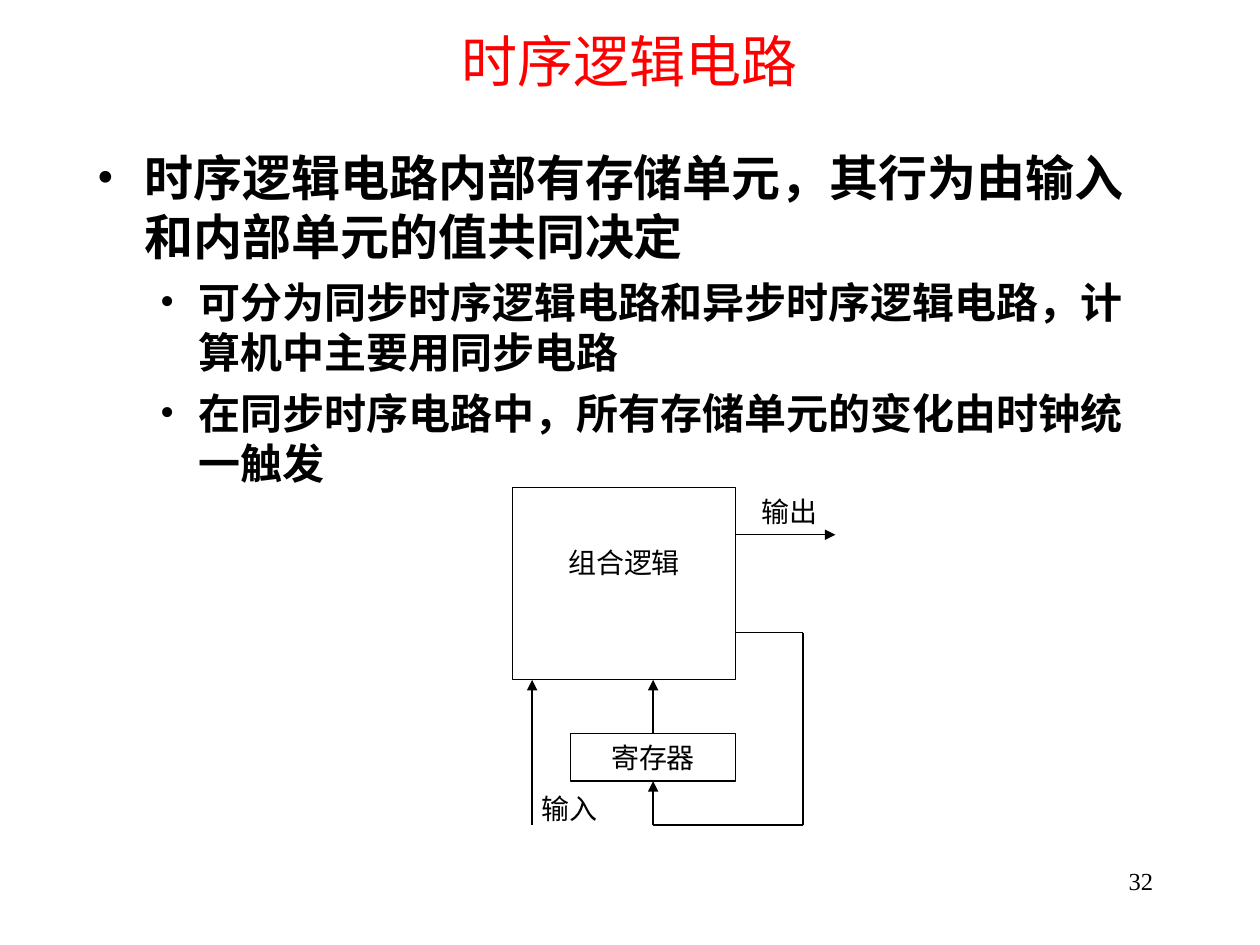
from lxml import etree
from pptx import Presentation, util as u
from pptx.dml.color import RGBColor
from pptx.enum import shapes, text
from pptx.oxml.ns import qn

BLACK = RGBColor(0, 0, 0)
RED = RGBColor(255, 0, 0)
SERIF = "Times New Roman"
WIDTH, HEIGHT = u.Inches(10), u.Inches(7.5)

BULLETS = [
    (0, "时序逻辑电路内部有存储单元，其行为由输入和内部单元的值共同决定"),
    (1, "可分为同步时序逻辑电路和异步时序逻辑电路，计算机中主要用同步电路"),
    (1, "在同步时序电路中，所有存储单元的变化由时钟统一触发"),
]
# level: size, text indent and bullet hang in inches, space before
LEVELS = {0: (28, 0.38, 0.38, 7), 1: (24, 0.81, 0.31, 6)}


def share_box(left, top, width, height):
    """Turn shares of the slide into a box."""
    return [int(WIDTH * left), int(HEIGHT * top), int(WIDTH * width), int(HEIGHT * height)]


def style(paragraph, size, color=BLACK, name=SERIF, bold=False):
    for run in paragraph.runs:
        font = run.font
        font.size, font.name, font.bold = u.Pt(size), name, bold
        font.color.rgb = color


def add_text(slide, box, words, size, align=text.PP_ALIGN.LEFT, margin=0.0):
    frame = slide.shapes.add_textbox(*box).text_frame
    frame.word_wrap = True
    frame.margin_left = frame.margin_right = u.Inches(margin)
    frame.margin_top = frame.margin_bottom = u.Inches(margin / 2)
    frame.text = words
    frame.paragraphs[0].alignment = align
    style(frame.paragraphs[0], size)


def add_title(slide, box, words):
    title = slide.shapes.title
    title.left, title.top, title.width, title.height = box
    frame = title.text_frame
    frame.text = words
    frame.vertical_anchor = text.MSO_ANCHOR.MIDDLE
    frame.paragraphs[0].alignment = text.PP_ALIGN.CENTER
    style(frame.paragraphs[0], 32, RED, "Arial")


def add_bullets(slide, box, items):
    frame = slide.shapes.add_textbox(*box).text_frame
    frame.word_wrap = True
    frame.text = "\n".join(words for _, words in items)
    for index, (paragraph, (level, _)) in enumerate(zip(frame.paragraphs, items)):
        size, indent, hang, before = LEVELS[level]
        paragraph.level = level
        paragraph.space_before = u.Pt(before if index else 0)
        properties = paragraph._p.get_or_add_pPr()
        properties.set("marL", str(u.Inches(indent)))
        properties.set("indent", str(-u.Inches(hang)))
        etree.SubElement(properties, qn("a:buFont"), typeface=SERIF)
        etree.SubElement(properties, qn("a:buChar"), char="•")
        style(paragraph, size, bold=True)


def add_block(slide, box, words, anchor, margin_top=0.05):
    block = slide.shapes.add_shape(shapes.MSO_SHAPE.RECTANGLE, *box)
    block.shadow.inherit = False
    block.fill.background()
    block.line.color.rgb = BLACK
    block.line.width = u.Pt(0.75)
    frame = block.text_frame
    frame.text = words
    frame.vertical_anchor = anchor
    frame.margin_top = u.Inches(margin_top)
    frame.paragraphs[0].alignment = text.PP_ALIGN.CENTER
    style(frame.paragraphs[0], 16)
    return block


def add_line(slide, start, end, arrow=False):
    line = slide.shapes.add_connector(shapes.MSO_CONNECTOR.STRAIGHT, *start, *end)
    line.line.color.rgb = BLACK
    line.line.width = u.Pt(0.75)
    if arrow:
        etree.SubElement(line.line._get_or_add_ln(), qn("a:tailEnd"), type="triangle")
    etree.SubElement(line._element.spPr, qn("a:effectLst"))
    return line


def add_circuit(slide, box):
    left, top, width, height = box

    def point(column, row):
        return int(left + width * column), int(top + height * row)

    def area(column, row, end_column, end_row):
        x, y = point(column, row)
        right, bottom = point(end_column, end_row)
        return x, y, right - x, bottom - y

    # Columns and rows as shares of the diagram
    input_x, register_x, block_x, feedback_x = 0.06, 0.18, 0.69, 0.9
    register_middle = (register_x + block_x) / 2
    output_y, feedback_y, block_y, register_top, register_bottom = 0.14, 0.43, 0.57, 0.73, 0.87

    # Logic block and register
    add_block(slide, area(0, 0, block_x, block_y), "组合逻辑", text.MSO_ANCHOR.TOP, 0.46)
    register = add_block(slide, area(register_x, register_top, block_x, register_bottom),
                         "寄存器", text.MSO_ANCHOR.MIDDLE)

    # Input, output and register arrows
    add_line(slide, point(input_x, 1), point(input_x, block_y), arrow=True)
    add_line(slide, point(block_x, output_y), point(1, output_y), arrow=True)
    state = add_line(slide, point(register_middle, register_top),
                     point(register_middle, block_y), arrow=True)
    state.begin_connect(register, 0)

    # Feedback path into the register
    corners = [point(block_x, feedback_y), point(feedback_x, feedback_y),
               point(feedback_x, 1), point(register_middle, 1)]
    for start, end in zip(corners, corners[1:]):
        add_line(slide, start, end)
    feedback = add_line(slide, corners[-1], point(register_middle, register_bottom), arrow=True)
    feedback.end_connect(register, 2)

    # Signal labels
    for words, column, row in (("输入", 0.09, 0.9), ("输出", 0.77, 0.02)):
        add_text(slide, area(column, row, column + 0.19, row + 0.1), words, 16)


def main():
    presentation = Presentation()
    presentation.slide_width, presentation.slide_height = WIDTH, HEIGHT
    slide = presentation.slides.add_slide(presentation.slide_layouts[5])
    add_title(slide, share_box(0.075, 0, 0.85, 0.127), "时序逻辑电路")
    add_bullets(slide, share_box(0.067, 0.15, 0.85, 0.41), BULLETS)
    add_circuit(slide, share_box(0.407, 0.516, 0.256, 0.357))
    add_text(slide, share_box(0.717, 0.91, 0.208, 0.067), "32", 14,
             text.PP_ALIGN.RIGHT, margin=0.1)
    presentation.save("out.pptx")


if __name__ == "__main__":
    main()
